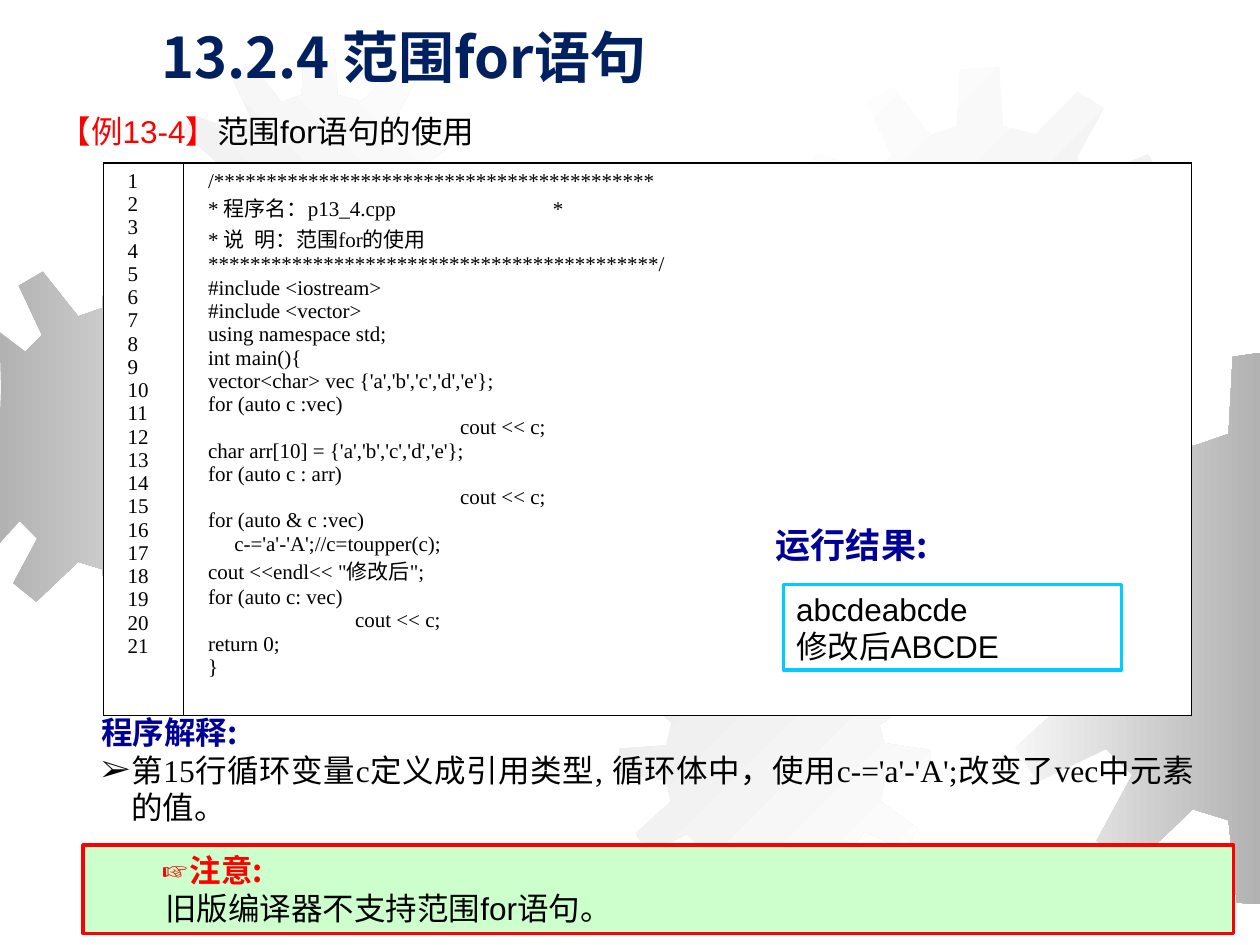
import pptx
import pptx.util
import pptx.dml.color
import pptx.enum.shapes
import pptx.enum.text
import pptx.oxml
import pptx.oxml.ns

Pt = pptx.util.Pt
RGB = pptx.dml.color.RGBColor
qn = pptx.oxml.ns.qn
ALIGN = pptx.enum.text.PP_ALIGN

NAVY = RGB(0x00, 0x20, 0x60)
BLUE = RGB(0x00, 0x00, 0x99)
CYAN = RGB(0x00, 0xCC, 0xFF)
RED = RGB(0xFF, 0x00, 0x00)
GREEN = RGB(0xCC, 0xFF, 0xCC)
BLACK = RGB(0x00, 0x00, 0x00)
WHITE = RGB(0xFF, 0xFF, 0xFF)
PALE = RGB(0xEA, 0xEA, 0xEA)
GREY = RGB(0xB2, 0xB2, 0xB2)

HAN, SANS, SERIF = "Noto Sans CJK SC", "Arial", "Times New Roman"
WIDE, HIGH = 720, 540
SPAN = 401  # width and height of the gear outline below
GEAR = [
    (255, 67), (223, 59), (219, 0), (180, 3), (177, 59), (151, 68),
    (113, 20), (87, 35), (112, 88), (94, 106), (38, 85), (25, 107),
    (68, 145), (61, 174), (1, 178), (0, 210), (61, 219), (67, 246),
    (22, 287), (38, 312), (88, 288), (107, 307), (81, 355), (106, 375),
    (151, 332), (177, 340), (183, 400), (222, 401), (226, 339), (259, 330),
    (299, 374), (325, 358), (299, 306), (316, 284), (368, 309), (384, 281),
    (336, 246), (342, 216), (401, 210), (400, 180), (341, 171), (335, 148),
    (383, 114), (367, 87), (313, 109), (296, 91), (323, 41), (297, 25),
]
CODE = [
    "/******************************************",
    "* 程序名：p13_4.cpp                              *",
    "* 说  明：范围for的使用",
    "*******************************************/",
    "#include <iostream>",
    "#include <vector>",
    "using namespace std;",
    "int main(){",
    "vector<char> vec {'a','b','c','d','e'};",
    "for (auto c :vec)",
    "\t\tcout << c;",
    "char arr[10] = {'a','b','c','d','e'};",
    "for (auto c : arr)",
    "\t\tcout << c;",
    "for (auto & c :vec)",
    "     c-='a'-'A';//c=toupper(c);",
    "cout <<endl<< \"修改后\";",
    "for (auto c: vec)",
    "\t    cout << c;",
    "return 0;",
    "}",
]


def node(root, tag, **attrs):
    item = pptx.oxml.parse_xml(f"<a:{tag} {pptx.oxml.ns.nsdecls('a')}/>")
    for key, value in attrs.items():
        item.set(key, str(value))
    root.append(item)
    return item


def write(frame, text, new=True, size=18, font=SANS, color=BLACK, bold=False,
          lead=None, align=ALIGN.LEFT, mark=None, left=0, hang=0):
    """Add text as a new paragraph, or as a run of the last one."""
    par = frame.paragraphs[-1]
    if new and par.runs:
        par = frame.add_paragraph()
    if new:
        props = par._p.get_or_add_pPr()
        props.set("marL", str(Pt(left)))
        props.set("indent", str(Pt(-hang)))
        props.set("defTabSz", str(Pt(72)))
        if mark:
            node(node(props, "buClr"), "srgbClr", val=color)
            node(props, "buFont", typeface=SERIF)
            node(props, "buChar", char=mark)
        else:
            node(props, "buNone")
        par.alignment = align
        par.space_before = par.space_after = Pt(0)
        if lead:
            par.line_spacing = Pt(lead)
    run = par.add_run()
    run.text = text
    run.font.size, run.font.name = Pt(size), font
    run.font.bold, run.font.color.rgb = bold, color
    node(run._r.get_or_add_rPr(), "ea", typeface=HAN)


def setup(shape, box, side=7.2, edge=3.6):
    shape.left, shape.top, shape.width, shape.height = map(Pt, box)
    frame = shape.text_frame
    frame.word_wrap = True
    frame.auto_size = pptx.enum.text.MSO_AUTO_SIZE.NONE
    frame.vertical_anchor = pptx.enum.text.MSO_ANCHOR.MIDDLE
    frame.margin_left = frame.margin_right = Pt(side)
    frame.margin_top = frame.margin_bottom = Pt(edge)
    return frame


def holder(slide, spot, box):
    shape = slide.placeholders[spot]
    slide.shapes._spTree.append(shape._element)  # in front of the gears
    return setup(shape, box, 14, 6.5)


def label(slide, box, **inset):
    return setup(slide.shapes.add_textbox(*map(Pt, box)), box, **inset)


def panel(slide, box, line, fill=None):
    kind = pptx.enum.shapes.MSO_SHAPE.RECTANGLE
    shape = slide.shapes.add_shape(kind, *map(Pt, box))
    shape.shadow.inherit = False
    shape.line.color.rgb, shape.line.width = line, Pt(2)
    if fill is None:
        shape.fill.background()
    else:
        shape.fill.solid()
        shape.fill.fore_color.rgb = fill
    return setup(shape, box)


def gear(slide, left, top, size, start, end, angle):
    """Place a gear, held within the slide edges."""
    dots = [(Pt(min(max(left + x * size / SPAN, 0), WIDE)),
             Pt(min(top + y * size / SPAN, HIGH))) for x, y in GEAR]
    form = slide.shapes.build_freeform(*dots[0])
    form.add_line_segments(dots[1:], close=True)
    shape = form.convert_to_shape()
    shape.shadow.inherit = False
    shape.line.fill.background()
    if start == end:  # a half clear veil
        shape.fill.solid()
        shape.fill.fore_color.rgb = start
        tint = shape._element.spPr.find(qn("a:solidFill"))[0]
        node(tint, "alpha", val=50000)
        return
    shape.fill.gradient()
    shape.fill.gradient_angle = -angle % 360
    for stop, color in zip(shape.fill.gradient_stops, (start, end)):
        stop.color.rgb = color


def listing(slide, box):
    """Table with line numbers beside the code."""
    table = slide.shapes.add_table(1, 2, *map(Pt, box)).table
    table.first_row = table.horz_banding = False
    table.columns[0].width = Pt(46)
    table.columns[1].width = Pt(box[2] - 46)
    nums = [str(i + 1) for i in range(len(CODE))]
    for cell, lines in zip(table.rows[0].cells, (nums, CODE)):
        cell.margin_left, cell.margin_right = Pt(14), Pt(13)
        cell.margin_top = cell.margin_bottom = Pt(3.6)
        for line in lines:
            tall = any("一" <= sign <= "龥" for sign in line)
            write(cell.text_frame, line, size=12, font=SERIF,
                  lead=17.3 if tall else 13.3)
        props = cell._tc.get_or_add_tcPr()
        for side, wide in zip("LRTB", (0.34, 0.34, 1.08, 0.45)):
            edge = node(props, "ln" + side, w=Pt(wide))
            node(node(edge, "solidFill"), "srgbClr", val=BLACK)
        cell.fill.solid()
        cell.fill.fore_color.rgb = WHITE


def remarks(slide, box):
    frame = holder(slide, 1, box)
    form = dict(lead=21.5, align=ALIGN.JUSTIFY)
    write(frame, "程序解释:", font=HAN, color=BLUE, bold=True, **form)
    write(frame, "第15行循环变量c定义成引用类型, 循环体中，使用c-='a'-'A';"
          "改变了vec中元素的值。", font=SERIF, mark="➢", left=17, hang=17, **form)


def result(slide, box):
    left, top, width, height = box
    head = label(slide, (left, top, width, 28))
    write(head, "运行结果:", size=20, font=HAN, color=BLUE, bold=True)
    frame = panel(slide, (left + 11.5, top + 36.7, 193, height - 36.7), CYAN)
    for line in ("abcdeabcde", "修改后ABCDE"):
        write(frame, line, lead=21.5)


def notice(slide, box):
    frame = panel(slide, box, RED, GREEN)
    write(frame, "注意:", font=HAN, color=RED, bold=True, lead=21.5,
          mark="☞", left=54, hang=16)
    write(frame, "旧版编译器不支持范围for语句。", lead=21.5, left=40)


def main():
    deck = pptx.Presentation()
    deck.slide_width, deck.slide_height = Pt(WIDE), Pt(HIGH)
    slide = deck.slides.add_slide(deck.slide_layouts[1])

    # Gears in the background
    gear(slide, -35.5, 144.7, 213, GREY, WHITE, 0)
    gear(slide, 93.6, 28, 178.5, PALE, WHITE, 315)
    gear(slide, 199.4, 100, 289, WHITE, PALE, 45)
    gear(slide, 0, 378, 269, WHITE, WHITE, 0)
    gear(slide, 353.5, 348.5, 178.5, PALE, WHITE, 45)
    gear(slide, 445, 38.2, 230.5, WHITE, PALE, 45)
    gear(slide, 563, 201.6, 315, WHITE, GREY, 0)

    # Title and example line
    title = holder(slide, 0, (78, 6.5, 609, 51))
    write(title, "13.2.4 范围for语句", size=32, font=HAN, color=NAVY, bold=True)
    lead = label(slide, (20, 57.6, 661, 34.6), side=14, edge=6.5)
    write(lead, "【例13-4】", color=RED)
    write(lead, "范围for语句的使用", new=False)

    # Code, its output and the remarks
    listing(slide, (59, 93.3, 622, 315.4))
    result(slide, (436.3, 297.4, 280, 85.6))
    remarks(slide, (44, 401, 652.6, 77.8))
    notice(slide, (47.5, 483, 657.4, 50.4))

    deck.save("out.pptx")


if __name__ == "__main__":
    main()
